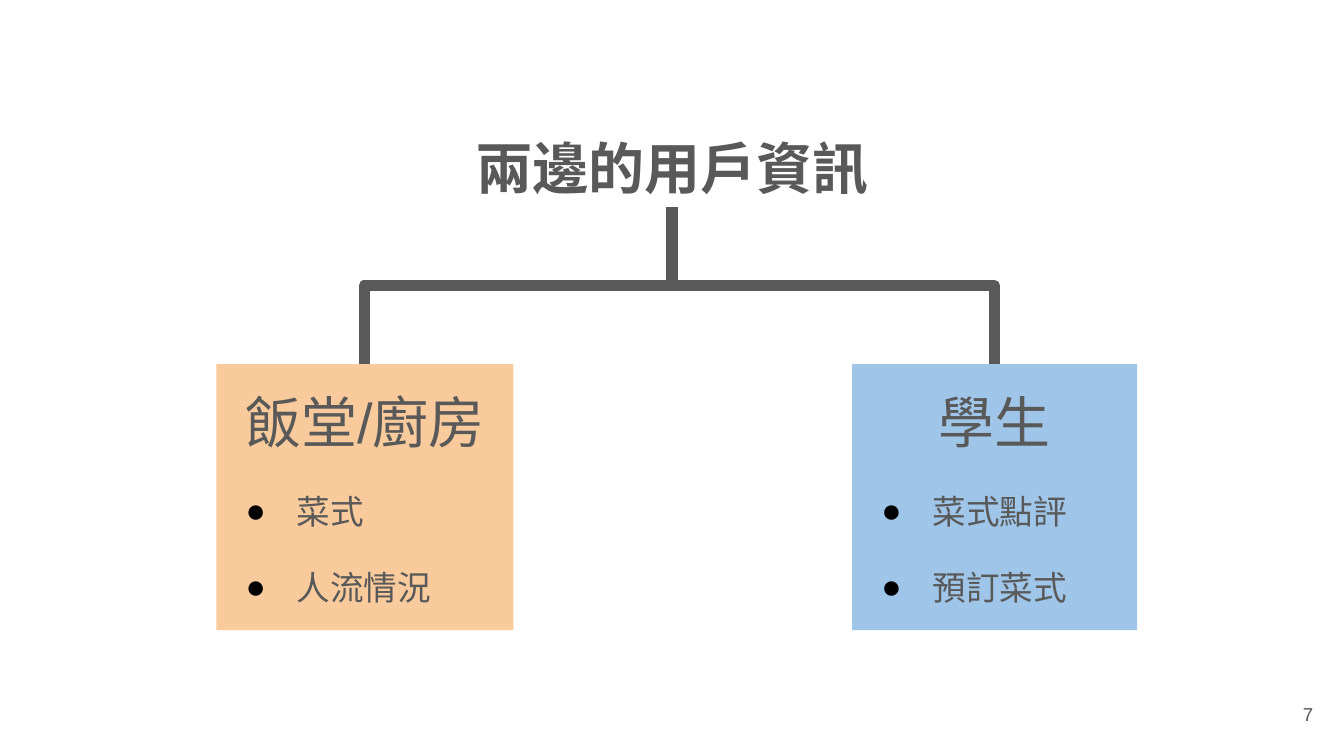
from lxml import etree
from pptx import Presentation
from pptx.dml.color import RGBColor
from pptx.enum.shapes import MSO_CONNECTOR, MSO_SHAPE
from pptx.enum.text import MSO_ANCHOR, MSO_AUTO_SIZE, PP_ALIGN
from pptx.oxml.ns import qn
from pptx.util import Inches, Pt

GRAY = RGBColor(0x59, 0x59, 0x59)
ORANGE = RGBColor(0xF9, 0xCB, 0x9C)
BLUE = RGBColor(0x9F, 0xC5, 0xE8)
ELBOW = MSO_CONNECTOR.ELBOW
RECT = MSO_SHAPE.RECTANGLE
TOP, MIDDLE = MSO_ANCHOR.TOP, MSO_ANCHOR.MIDDLE
LEFT, CENTER, RIGHT = PP_ALIGN.LEFT, PP_ALIGN.CENTER, PP_ALIGN.RIGHT
NO_FIT = MSO_AUTO_SIZE.NONE


def set_frame(shape, anchor=TOP):
    """Prepare the text frame of a shape and return it."""
    frame = shape.text_frame
    frame.word_wrap = True
    frame.auto_size = NO_FIT
    frame.vertical_anchor = anchor
    frame.margin_left = frame.margin_right = Inches(0.1)
    frame.margin_top = frame.margin_bottom = Inches(0.1)
    return frame


def add_text(para, text, size, align, font="Arial", bold=False, space=1.15, before=0, after=0):
    """Write one run into a paragraph and format both."""
    para.alignment = align
    para.line_spacing = space
    para.space_before = Pt(before)
    para.space_after = Pt(after)
    run = para.add_run()
    run.text = text
    run.font.name = font
    run.font.size = Pt(size)
    run.font.bold = bold
    run.font.color.rgb = GRAY


def add_bullet(para):
    """Give a paragraph a black round bullet and a hanging indent."""
    props = para._p.get_or_add_pPr()
    props.set("marL", str(Inches(0.5)))
    props.set("indent", str(Inches(-0.38)))
    color = etree.SubElement(props, qn("a:buClr"))
    etree.SubElement(color, qn("a:srgbClr"), val="000000")
    etree.SubElement(props, qn("a:buFont"), typeface="Arial")
    etree.SubElement(props, qn("a:buChar"), char="●")


def add_title(slide, text):
    """Place and fill the title."""
    title = slide.shapes.title
    title.left, title.top = Inches(3.36), Inches(0.82)
    title.width, title.height = Inches(3.29), Inches(0.72)
    para = set_frame(title).paragraphs[0]
    add_text(para, text, 30, CENTER, font="Manrope", bold=True, after=16)


def add_box(slide, left, width, fill, head, items):
    """Draw a filled box with a heading and bulleted items."""
    box = slide.shapes.add_shape(RECT, Inches(left), Inches(2.71), Inches(width), Inches(1.98))
    box.shadow.inherit = False
    box.fill.solid()
    box.fill.fore_color.rgb = fill
    box.line.fill.background()
    frame = set_frame(box)
    add_text(frame.paragraphs[0], head, 30, CENTER)
    for item in items:
        para = frame.add_paragraph()
        after = 16 if item == items[-1] else 0
        add_text(para, item, 18, LEFT, before=16, after=after)
        add_bullet(para)


def add_link(slide, start, end):
    """Join two points by an elbow that leaves and arrives vertically."""
    mid_x, mid_y = (start[0] + end[0]) / 2, (start[1] + end[1]) / 2
    half_x, half_y = (end[0] - start[0]) / 2, (end[1] - start[1]) / 2
    link = slide.shapes.add_connector(
        ELBOW,
        Inches(mid_x - half_y), Inches(mid_y + half_x),
        Inches(mid_x + half_y), Inches(mid_y - half_x),
    )
    link.line.color.rgb = GRAY
    link.line.width = Pt(6)
    props = link._element.spPr
    props.find(qn("a:xfrm")).set("rot", "5400000")
    etree.SubElement(props, qn("a:effectLst"))


def add_number(slide, text):
    """Write the page number in the lower right corner."""
    box = slide.shapes.add_textbox(Inches(9.27), Inches(5.1), Inches(0.6), Inches(0.43))
    add_text(set_frame(box, MIDDLE).paragraphs[0], text, 10, RIGHT, space=1.0)


def main():
    """Build the slide and save it."""
    deck = Presentation()
    deck.slide_width, deck.slide_height = Inches(10), Inches(10 * 9 / 16)
    slide = deck.slides.add_slide(deck.slide_layouts[5])
    add_title(slide, "兩邊的用戶資訊")
    add_number(slide, "7")
    add_box(slide, 1.61, 2.21, ORANGE, "飯堂/廚房", ["菜式", "人流情況"])
    add_box(slide, 6.34, 2.12, BLUE, "學生", ["菜式點評", "預訂菜式"])
    stem = (5, 1.54)
    add_link(slide, stem, (2.71, 2.71))
    add_link(slide, (7.4, 2.71), stem)
    deck.save("out.pptx")


if __name__ == "__main__":
    main()
